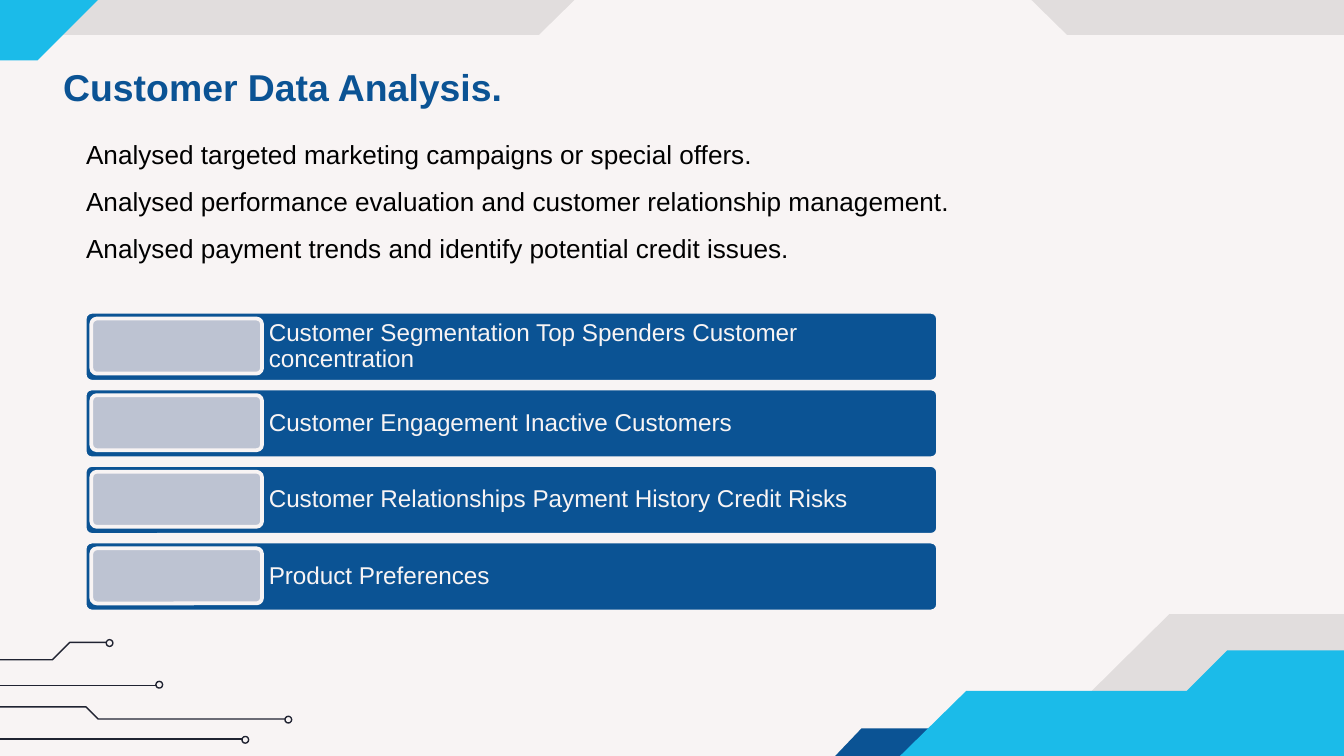
from typing import NamedTuple

from lxml import etree
from pptx import Presentation
from pptx import util as u
from pptx.dml.color import RGBColor
from pptx.enum import shapes, text
from pptx.oxml.ns import qn

PX = 9144  # 100 px to the inch
WIDE = 1000 * PX
BLUE = RGBColor(0x0B, 0x53, 0x94)
CYAN = RGBColor(0x1B, 0xBB, 0xE9)
PALE = RGBColor(0xF8, 0xF4, 0xF4)
MIST = RGBColor(0xBD, 0xC3, 0xD2)
INK = RGBColor(0x20, 0x23, 0x31)
BLACK = RGBColor(0, 0, 0)


class Box(NamedTuple):
    left: int
    top: int
    width: int
    height: int

    def emu(self) -> list[int]:
        return [n * PX for n in self]


class Panel(NamedTuple):
    color: RGBColor
    points: list[tuple[int, int]]
    alpha: int = 100


class Trace(NamedTuple):
    """A circuit line and the top left corner of its end ring."""
    points: list[tuple[int, int]]
    ring: tuple[int, int]


PANELS = [
    Panel(BLACK, [(870, 457), (758, 568), (726, 568), (726, 625),
                  (1033, 625), (1033, 457)], 9),
    Panel(BLACK, [(794, 26), (682, -84), (513, -84), (401, 26), (-12, 26),
                  (-12, -180), (1012, -180), (1012, 26)], 9),
    Panel(BLUE, [(621, 563), (641, 542), (731, 542), (711, 563)]),
    Panel(CYAN, [(1148, 484), (1148, 814), (589, 814), (589, 572), (660, 572),
                 (719, 514), (883, 514), (913, 484)]),
    Panel(CYAN, [(28, 45), (140, -67), (172, -67), (172, -124),
                 (-134, -124), (-134, 45)]),
]
TRACES = [
    Trace([(-50, 510), (117, 510)], (116, 507)),
    Trace([(-87, 491), (39, 491), (52, 478), (79, 478)], (79, 476)),
    Trace([(-119, 526), (64, 526), (73, 535), (212, 535)], (212, 533)),
    Trace([(-144, 550), (181, 550)], (180, 548)),
]
POINTS = [
    "Analysed targeted marketing campaigns or special offers.",
    "Analysed performance evaluation and customer relationship management.",
    "Analysed payment trends and identify potential credit issues.",
]
TOPICS = [
    "Customer Segmentation Top Spenders Customer concentration",
    "Customer Engagement Inactive Customers",
    "Customer Relationships Payment History Credit Risks",
    "Product Preferences",
]
TOP, STEP = 232, 57


def apply(item, form: dict) -> None:
    for name, value in form.items():
        setattr(item, name, value)


def paint(shape, fill=None, line=None, width: float = 0.75) -> None:
    shape.shadow.inherit = False
    for part, color in ((shape.fill, fill), (shape.line.fill, line)):
        if color is None:
            part.background()
        else:
            part.solid()
            part.fore_color.rgb = color
    if line is not None:
        shape.line.width = u.Pt(width)


def write(shape, lines: list[str], frame: dict, para: dict, font: dict,
          color: RGBColor) -> None:
    body = shape.text_frame
    body.text = "\n".join(lines)
    apply(body, frame)
    for item in body.paragraphs:
        apply(item, {"alignment": text.PP_ALIGN.LEFT, **para})
        apply(item.runs[0].font, {"name": "Arial", **font})
        item.runs[0].font.color.rgb = color


def place(shape, box: Box) -> None:
    apply(shape, dict(zip(box._fields, box.emu())))


def outline(slide, points: list[tuple[int, int]], close: bool):
    pen = slide.shapes.build_freeform(*points[0], scale=PX)
    pen.add_line_segments(points[1:], close=close)
    return pen.convert_to_shape()


def draw_panel(slide, panel: Panel) -> None:
    shape = outline(slide, panel.points, True)
    paint(shape, panel.color)
    if panel.alpha < 100:
        tint = shape.fill._xPr.find(".//" + qn("a:srgbClr"))
        etree.SubElement(tint, qn("a:alpha"), val=str(panel.alpha * 1000))


def draw_trace(slide, trace: Trace) -> None:
    if len(trace.points) == 2:
        ends = [n * PX for point in trace.points for n in point]
        wire = slide.shapes.add_connector(shapes.MSO_CONNECTOR.STRAIGHT, *ends)
        wire.line.color.rgb = INK
        wire.line.width = u.Pt(0.75)
        etree.SubElement(wire._element.spPr, qn("a:effectLst"))
    else:
        paint(outline(slide, trace.points, False), line=INK)
    box = Box(*trace.ring, 5, 5)
    ring = slide.shapes.add_shape(shapes.MSO_SHAPE.OVAL, *box.emu())
    paint(ring, line=INK)


def draw_plate(slide, box: Box, fill: RGBColor) -> None:
    plate = slide.shapes.add_shape(
        shapes.MSO_SHAPE.ROUNDED_RECTANGLE, *box.emu())
    plate.adjustments[0] = 0.1
    paint(plate, fill, PALE, 2)


def draw_topic(slide, top: int, label: str) -> None:
    draw_plate(slide, Box(63, top, 635, 52), BLUE)
    note = slide.shapes.add_textbox(*Box(195, top, 502, 52).emu())
    sides = ("left", "top", "right", "bottom")
    frame = {f"margin_{side}": 5 * PX for side in sides}
    frame |= {"word_wrap": True, "vertical_anchor": text.MSO_ANCHOR.MIDDLE}
    write(note, [label], frame, {"line_spacing": 0.9},
          {"size": u.Pt(13)}, PALE)
    draw_plate(slide, Box(68, top + 5, 127, 41), MIST)


def main() -> None:
    deck = Presentation()
    apply(deck, {"slide_width": WIDE, "slide_height": WIDE * 9 // 16})
    slide = deck.slides.add_slide(deck.slide_layouts[1])
    slide.background.fill.solid()
    slide.background.fill.fore_color.rgb = PALE

    for panel in PANELS:
        draw_panel(slide, panel)
    for trace in TRACES:
        draw_trace(slide, trace)

    frame = {"auto_size": text.MSO_AUTO_SIZE.SHAPE_TO_FIT_TEXT,
             "vertical_anchor": text.MSO_ANCHOR.TOP}
    title, body = slide.placeholders
    place(title, Box(37, 43, 350, 44))
    write(title, ["Customer Data Analysis."], frame | {"word_wrap": False},
          {}, {"size": u.Pt(20), "bold": True}, BLUE)
    place(body, Box(54, 86, 760, 112))
    write(body, POINTS, frame | {"word_wrap": True},
          {"line_spacing": 1.5, "space_before": u.Pt(0)},
          {"size": u.Pt(14), "bold": False}, BLACK)
    for item in body.text_frame.paragraphs:
        props = item._p.get_or_add_pPr()
        props.set("marL", "0")
        props.set("indent", "0")
        etree.SubElement(props, qn("a:buNone"))

    for row, label in enumerate(TOPICS):
        draw_topic(slide, TOP + row * STEP, label)
    deck.save("out.pptx")


if __name__ == "__main__":
    main()
